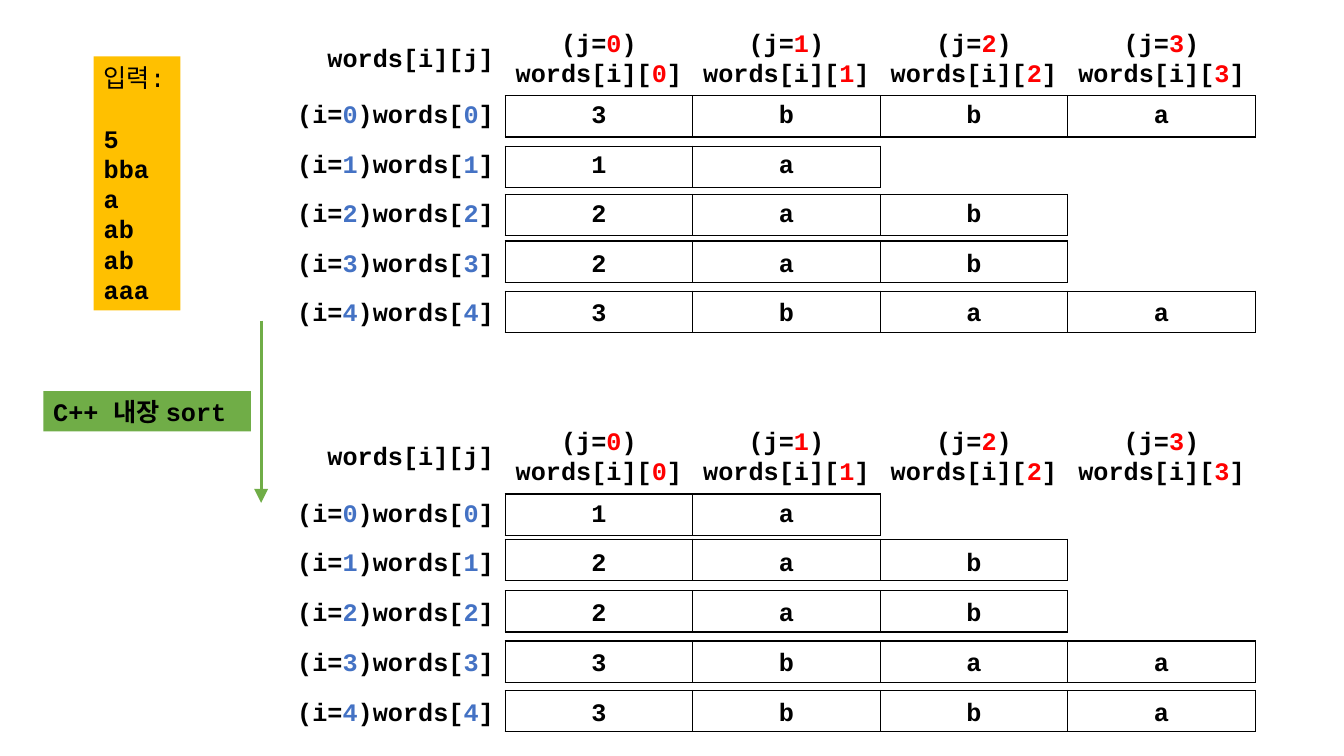
from lxml import etree
from pptx import Presentation
from pptx.dml.color import RGBColor
from pptx.enum.shapes import MSO_CONNECTOR, MSO_SHAPE
from pptx.enum.text import PP_ALIGN
from pptx.oxml.ns import qn
from pptx.util import Inches, Pt

STRAIGHT = MSO_CONNECTOR.STRAIGHT
RECTANGLE = MSO_SHAPE.RECTANGLE
LEFT, CENTER = PP_ALIGN.LEFT, PP_ALIGN.CENTER

BLACK, BLUE, RED = "000000", "4472C4", "FF0000"
ORANGE, GREEN = "FFC000", "70AD47"

COL_W, CELL_H, TEXT_H = 1.86, 0.41, 0.4
GRID_X, LABEL_X, CORNER_X = 5.01, 2.85, 3.15
LETTER_W = 0.35


def rgb(value):
    return RGBColor.from_string(value)


class Deck:
    """Holds the text style and the current slide."""

    font, size = "Courier New", Pt(18)

    def __init__(self, slide):
        self.slide = slide

    def style(self, r, color=BLACK):
        r.font.name, r.font.size, r.font.bold = self.font, self.size, True
        r.font.color.rgb = rgb(color)

    def fill_text(self, tf, lines, align, accent=BLACK):
        """Write lines; parts between bars take the accent colour."""
        tf.word_wrap = False
        tf.text = "\n".join(lines)
        for p, line in zip(tf.paragraphs, lines):
            p.text = ""
            p.alignment = align
            for k, part in enumerate(line.split("|")):
                r = p.add_run()
                r.text = part
                self.style(r, accent if k % 2 else BLACK)

    def text(self, x, y, w, h, lines, align=LEFT, accent=BLACK):
        s = self.slide.shapes.add_textbox(Inches(x), Inches(y), Inches(w), Inches(h))
        self.fill_text(s.text_frame, lines, align, accent)

    def box(self, x, y, w, h, lines, fill):
        s = self.slide.shapes.add_shape(
            RECTANGLE, Inches(x), Inches(y), Inches(w), Inches(h))
        s.shadow.inherit = False
        s.fill.solid()
        s.fill.fore_color.rgb = rgb(fill)
        s.line.fill.background()
        self.fill_text(s.text_frame, lines, LEFT)
        return s.text_frame

    def arrow(self, x1, y1, x2, y2, color):
        c = self.slide.shapes.add_connector(
            STRAIGHT, Inches(x1), Inches(y1), Inches(x2), Inches(y2))
        c.line.color.rgb = rgb(color)
        c.line.width = Pt(2)
        etree.SubElement(c.line._get_or_add_ln(), qn("a:tailEnd"),
                         type="triangle", w="lg", len="lg")
        etree.SubElement(c._element.spPr, qn("a:effectLst"))

    def border(self, cell):
        tc_pr = cell._tc.get_or_add_tcPr()
        for k, side in enumerate(("lnL", "lnR", "lnT", "lnB")):
            ln = etree.Element(qn("a:" + side), w=str(Pt(1)))
            fill = etree.SubElement(ln, qn("a:solidFill"))
            etree.SubElement(fill, qn("a:srgbClr"), val=BLACK)
            tc_pr.insert(k, ln)

    def frame(self, x, y, columns):
        s = self.slide.shapes.add_table(
            1, columns, Inches(x), Inches(y),
            Inches(COL_W * columns), Inches(CELL_H))
        s.table.first_row = s.table.horz_banding = False
        for cell in s.table.rows[0].cells:
            cell.fill.background()
            self.border(cell)

    def word_grid(self, top, step, words, frame_tops):
        self.text(CORNER_X, top + 0.15, COL_W, TEXT_H, ["words[i][j]"])
        for j in range(4):
            self.text(GRID_X + j * COL_W, top, COL_W, 0.71,
                      [f"(j=|{j}|)", f"words[i][|{j}|]"], CENTER, RED)
        for i, (word, frame_top) in enumerate(zip(words, frame_tops)):
            y = top + 0.71 + i * step
            self.text(LABEL_X, y, 2.16, TEXT_H,
                      [f"(i=|{i}|)words[|{i}|]"], accent=BLUE)
            self.frame(GRID_X, frame_top, len(word))
            for j, letter in enumerate(word):
                x = GRID_X + (j + 0.5) * COL_W - LETTER_W / 2
                self.text(x, y, LETTER_W, TEXT_H, [letter], CENTER)


prs = Presentation()
prs.slide_width, prs.slide_height = Inches(13.33), Inches(7.5)
deck = Deck(prs.slides.add_slide(prs.slide_layouts[6]))

# Input and sorting step
tf = deck.box(0.93, 0.56, 0.86, 2.52,
              ["입력:", "5", "bba", "a", "ab", "ab", "aaa"], ORANGE)
tf.paragraphs[0].runs[0].font.bold = False
tf.paragraphs[1].space_before = Pt(21.6)
deck.box(0.43, 3.88, 2.06, 0.4, ["C++ 내장 sort"], GREEN)
deck.arrow(2.59, 3.18, 2.59, 4.99, GREEN)

# Words before and after sorting, each led by its length
deck.word_grid(0.22, 0.49, ["3bba", "1a", "2ab", "2ab", "3baa"],
               [0.95, 1.45, 1.93, 2.39, 2.89])
deck.word_grid(4.17, 0.495, ["1a", "2ab", "2ab", "3baa", "3bba"],
               [4.9, 5.35, 5.86, 6.36, 6.85])

prs.save("out.pptx")
